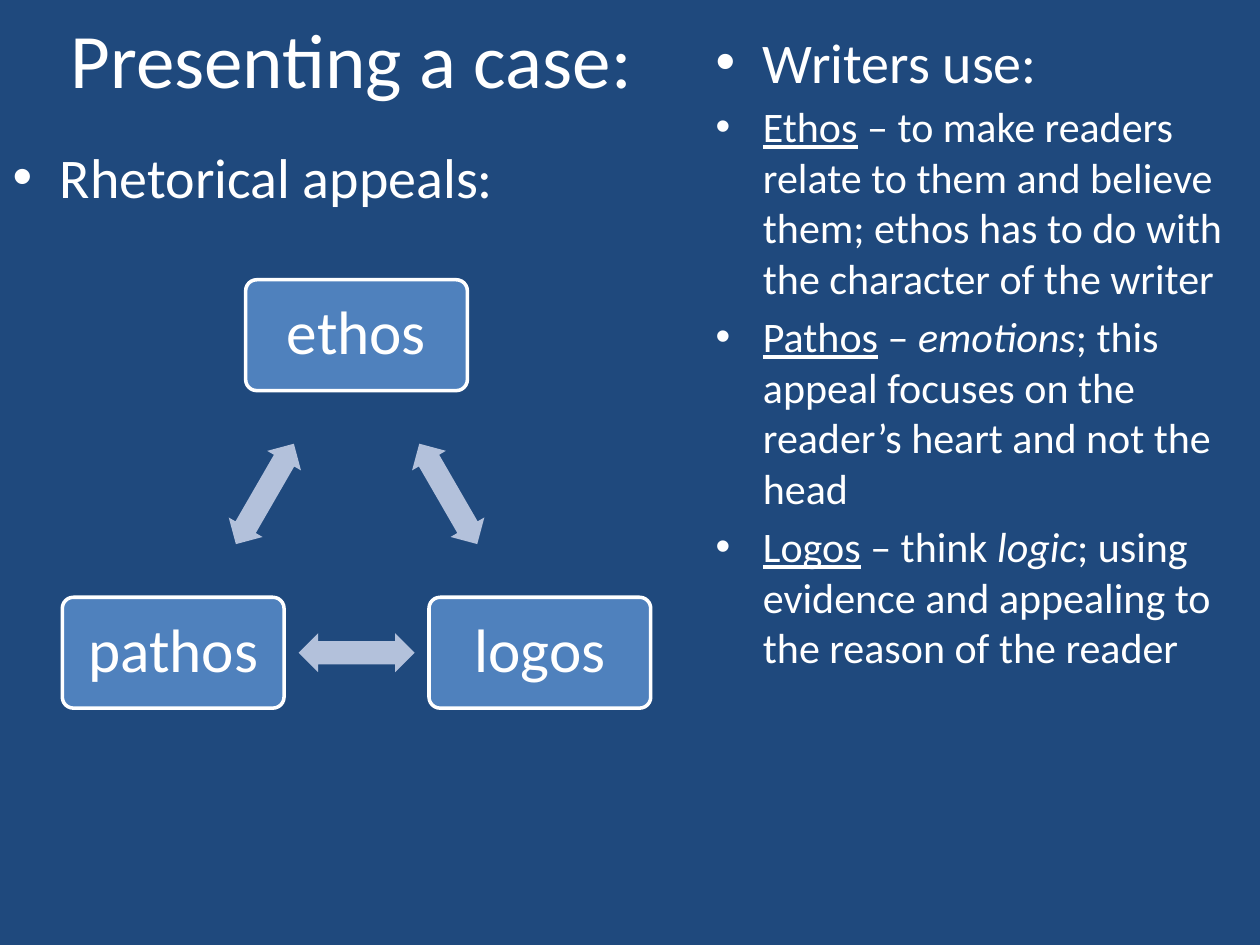
from dataclasses import dataclass
from math import cos, radians, sin

from lxml.etree import SubElement
from pptx import Presentation
from pptx.dml.color import RGBColor
from pptx.enum.shapes import MSO_SHAPE
from pptx.enum.text import MSO_ANCHOR, MSO_AUTO_SIZE, PP_ALIGN
from pptx.oxml.ns import qn
from pptx.util import Inches, Pt


@dataclass(frozen=True)
class Theme:
    font: str = "Calibri"
    background: RGBColor = RGBColor(0x1F, 0x49, 0x7D)
    text: RGBColor = RGBColor(0xFF, 0xFF, 0xFF)
    box: RGBColor = RGBColor(0x4F, 0x81, 0xBD)
    arrow: RGBColor = RGBColor(0xB3, 0xC1, 0xDB)
    title_size: int = 44
    heading_size: int = 32
    detail_size: int = 24
    box_size: int = 35


theme = Theme()


def add_text(paragraph, text, size, underline=False, italic=False):
    """Add one formatted run to a paragraph."""
    run = paragraph.add_run()
    run.text = text
    font = run.font
    font.name, font.size, font.color.rgb = theme.font, Pt(size), theme.text
    font.bold, font.underline, font.italic = False, underline, italic


def fill_placeholder(placeholder, bounds, paragraphs, size, bullets=True):
    """Move a placeholder; each paragraph is a list of (text, format) pairs."""
    placeholder.left, placeholder.top, placeholder.width, placeholder.height = map(Inches, bounds)
    frame = placeholder.text_frame
    frame.word_wrap = True
    frame.auto_size = MSO_AUTO_SIZE.NONE
    frame.vertical_anchor = MSO_ANCHOR.TOP if bullets else MSO_ANCHOR.MIDDLE
    for number, pieces in enumerate(paragraphs):
        paragraph = frame.add_paragraph() if number else frame.paragraphs[0]
        for text, style in pieces:
            add_text(paragraph, text, size, **style)
        if bullets:
            properties = paragraph._p.get_or_add_pPr()
            properties.set("marL", str(Inches(0.375)))
            properties.set("indent", str(Inches(-0.375)))
            SubElement(properties, qn("a:buFont"), typeface="Arial")
            SubElement(properties, qn("a:buChar"), char="•")
        else:
            paragraph.alignment = PP_ALIGN.CENTER


presentation = Presentation()
presentation.slide_width, presentation.slide_height = Inches(10), Inches(7.5)
slide = presentation.slides.add_slide(presentation.slide_layouts[4])
slide.background.fill.solid()
slide.background.fill.fore_color.rgb = theme.background

# Title, headings and definitions
plain, underlined, italic = {}, {"underline": True}, {"italic": True}
definitions = [
    [("Ethos", underlined),
     (" – to make readers relate to them and believe them; "
      "ethos has to do with the character of the writer", plain)],
    [("Pathos", underlined), (" – ", plain), ("emotions", italic),
     ("; this appeal focuses on the reader’s heart and not the head", plain)],
    [("Logos", underlined), (" – think ", plain), ("logic", italic),
     ("; using evidence and appealing to the reason of the reader", plain)],
]
title, appeals, spare, uses, details = slide.placeholders
fill_placeholder(title, (0, -0.17, 5.58, 1.25), [[("Presenting a case:", plain)]],
                 theme.title_size, bullets=False)
fill_placeholder(appeals, (0, 1.08, 4.42, 0.75), [[("Rhetorical appeals:", plain)]],
                 theme.heading_size)
fill_placeholder(uses, (5.58, 0.17, 4.42, 0.83), [[("Writers use:", plain)]],
                 theme.heading_size)
fill_placeholder(details, (5.58, 0.75, 4.42, 4.67), definitions, theme.detail_size)
spare.element.getparent().remove(spare.element)

# Cycle of appeals: boxes on the corners of an equilateral triangle
center_x, center_y, radius = 2.83, 4.34, 1.68
box_width, box_height = 1.76, 0.88
arrow_width, arrow_height = 0.92, 0.31
appeal_names = ["ethos", "logos", "pathos"]
corners = [(center_x + radius * cos(radians(angle)), center_y + radius * sin(radians(angle)))
           for angle in (-90, 30, 150)]

for index, (name, (x, y)) in enumerate(zip(appeal_names, corners)):
    box = slide.shapes.add_shape(
        MSO_SHAPE.ROUNDED_RECTANGLE, Inches(x - box_width / 2), Inches(y - box_height / 2),
        Inches(box_width), Inches(box_height))
    box.adjustments[0] = 0.1
    box.shadow.inherit = False
    box.fill.solid()
    box.fill.fore_color.rgb = theme.box
    box.line.color.rgb = theme.text
    box.line.width = Pt(2)
    frame = box.text_frame
    frame.margin_left = frame.margin_right = frame.margin_top = frame.margin_bottom = Inches(0.1)
    frame.vertical_anchor = MSO_ANCHOR.MIDDLE
    label = frame.paragraphs[0]
    label.alignment = PP_ALIGN.CENTER
    label.line_spacing = 0.9
    add_text(label, name, theme.box_size)

    # Arrow halfway to the next box
    next_x, next_y = corners[(index + 1) % len(corners)]
    arrow = slide.shapes.add_shape(
        MSO_SHAPE.LEFT_RIGHT_ARROW,
        Inches((x + next_x - arrow_width) / 2), Inches((y + next_y - arrow_height) / 2),
        Inches(arrow_width), Inches(arrow_height))
    arrow.adjustments[0], arrow.adjustments[1] = 0.6, 0.5
    arrow.rotation = 60 + 120 * index
    arrow.shadow.inherit = False
    arrow.fill.solid()
    arrow.fill.fore_color.rgb = theme.arrow
    arrow.line.fill.background()

presentation.save("out.pptx")
